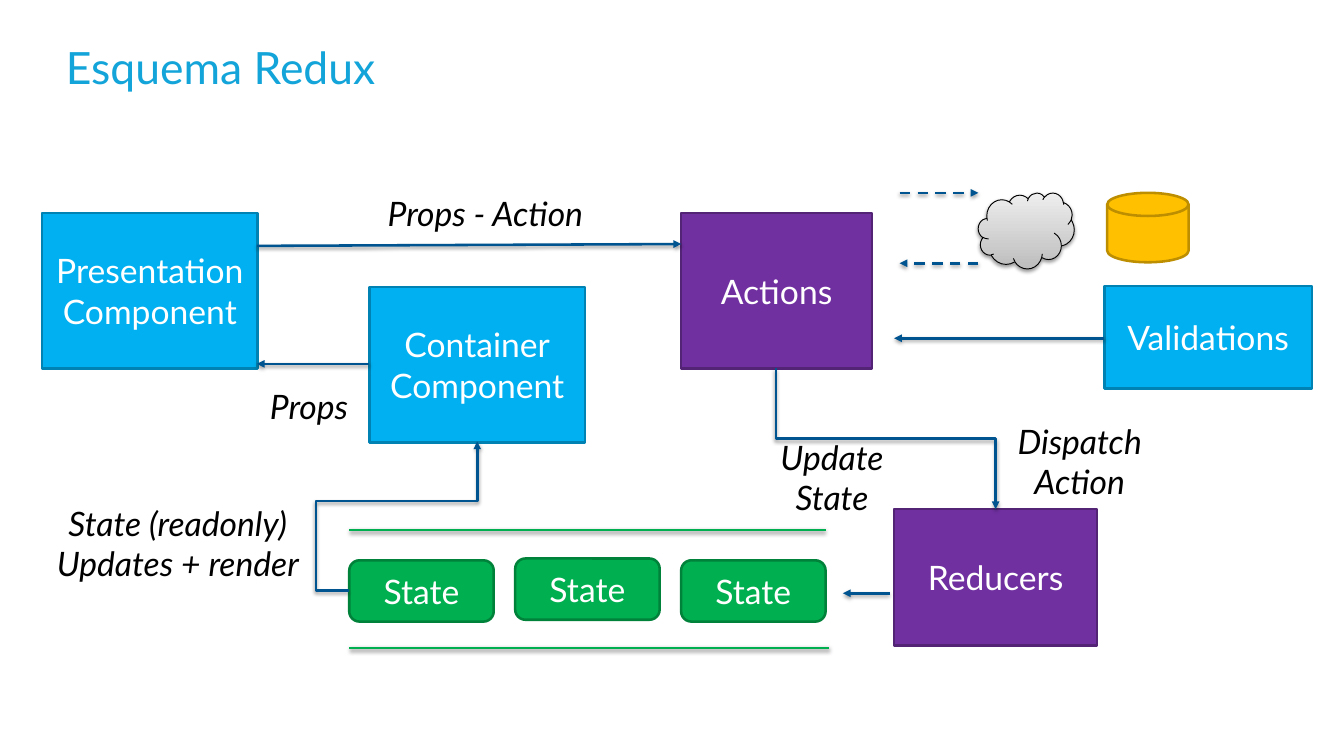
from dataclasses import dataclass

from lxml.etree import SubElement
from pptx import Presentation
from pptx.dml.color import RGBColor
from pptx.enum.dml import MSO_LINE
from pptx.enum.shapes import MSO_CONNECTOR, MSO_SHAPE
from pptx.enum.text import MSO_ANCHOR, MSO_AUTO_SIZE, PP_ALIGN
from pptx.oxml import parse_xml
from pptx.oxml.ns import nsdecls, qn
from pptx.util import Inches, Pt


@dataclass(frozen=True)
class Theme:
    font: str = "Lato"
    title_size: float = 35
    text_size: float = 26.5
    line_width: float = 2
    title: str = "13A4D9"
    flow: str = "005490"
    component: tuple[str, str] = ("00B0F0", "0082B2")
    logic: tuple[str, str] = ("7030A0", "532476")
    state: tuple[str, str] = ("00B050", "00823B")
    database: tuple[str, str] = ("FFC000", "BD8E00")
    cloud: tuple[str, str] = ("BDBDBD", "EEEEEE")
    light: str = "FFFFFF"
    dark: str = "000000"


@dataclass(frozen=True)
class Node:
    text: str
    box: tuple[float, float, float, float]
    colors: tuple[str, str]
    kind: MSO_SHAPE = MSO_SHAPE.RECTANGLE


@dataclass(frozen=True)
class Label:
    text: str
    box: tuple[float, float, float, float]


@dataclass(frozen=True)
class Link:
    start: tuple[float, float]
    end: tuple[float, float]
    color: str
    arrow: bool = True
    dashed: bool = False


@dataclass(frozen=True)
class Elbow:
    link: Link
    rotation: int
    preset: str
    bends: tuple[float, ...]


THEME = Theme()
STATE_LEFT, STATE_PITCH = 3.82, 1.815

NODES = [
    Node("Container\nComponent", (4.04, 3.14, 2.36, 1.7), THEME.component),
    Node("Reducers", (9.78, 5.57, 2.22, 1.49), THEME.logic),
    Node("Validations", (12.08, 3.13, 2.27, 1.12), THEME.component),
    Node("Actions", (7.45, 2.33, 2.09, 1.7), THEME.logic),
    Node("Presentation\nComponent", (0.46, 2.33, 2.36, 1.7), THEME.component),
    Node("", (12.11, 2.11, 0.89, 0.76), THEME.database, MSO_SHAPE.FLOWCHART_MAGNETIC_DISK),
] + [
    Node("State", (STATE_LEFT + column * STATE_PITCH, top, 1.58, 0.67),
         THEME.state, MSO_SHAPE.ROUNDED_RECTANGLE)
    for column, top in enumerate((6.13, 6.11, 6.13))
]

LABELS = [
    Label("Props - Action", (3.68, 2.06, 3.26, 0.55)),
    Label("State (readonly)\nUpdates + render", (0.44, 5.45, 3.01, 0.99)),
    Label("Update State", (8.12, 4.73, 1.96, 0.99)),
    Label("Props", (2.72, 4.17, 1.32, 0.55)),
    Label("Dispatch Action", (10.83, 4.55, 1.96, 0.99)),
]

LINKS = [
    Link((9.03, 5.8), (STATE_LEFT, 5.8), THEME.state[0], arrow=False),
    Link((9.07, 7.09), (STATE_LEFT, 7.09), THEME.state[0], arrow=False),
    Link((2.81, 2.69), (7.45, 2.67), THEME.flow),
    Link((9.84, 2.11), (10.7, 2.11), THEME.flow, dashed=True),
    Link((10.7, 2.88), (9.84, 2.88), THEME.flow, dashed=True),
    Link((9.73, 6.49), (9.22, 6.49), THEME.flow),
    Link((12.08, 3.7), (9.78, 3.7), THEME.flow),
    Link((4.04, 3.98), (2.81, 3.98), THEME.flow),
]

ELBOWS = [
    Elbow(Link((5.22, 4.83), (3.82, 6.46), THEME.flow), 180, "bentConnector4", (-0.26, 0.6)),
    Elbow(Link((10.46, 3.6), (8.92, 6.0), THEME.flow), 270, "bentConnector3", (0.5,)),
]


def rgb(color: str) -> RGBColor:
    """Return the colour object of a hex code."""
    return RGBColor.from_string(color)


def add_shadow(shape) -> None:
    """Give a shape or connector the soft shadow falling below it."""
    shape._element.spPr.append(parse_xml(
        f'<a:effectLst {nsdecls("a")}><a:outerShdw blurRad="{Pt(3.1)}" dist="{Pt(1.6)}" '
        f'dir="5400000" rotWithShape="0"><a:srgbClr val="{THEME.dark}">'
        '<a:alpha val="38000"/></a:srgbClr></a:outerShdw></a:effectLst>'))


def write(frame, text: str, color: str, italic: bool = False) -> None:
    """Write centred text into a text frame."""
    frame.word_wrap = True
    frame.text = text
    for paragraph in frame.paragraphs:
        paragraph.alignment = PP_ALIGN.CENTER
        paragraph.font.name = THEME.font
        paragraph.font.size = Pt(THEME.text_size)
        paragraph.font.italic = italic
        paragraph.font.color.rgb = rgb(color)


def add_title(slide, text: str) -> None:
    """Fill and place the title placeholder."""
    title = slide.shapes.title
    title.left, title.top, title.width, title.height = map(Inches, (0.62, 0.33, 13.36, 0.81))
    title.text_frame.text = text
    title.text_frame.vertical_anchor = MSO_ANCHOR.MIDDLE
    heading = title.text_frame.paragraphs[0]
    heading.alignment = PP_ALIGN.LEFT
    heading.font.name = THEME.font
    heading.font.size = Pt(THEME.title_size)
    heading.font.color.rgb = rgb(THEME.title)


def add_node(slide, node: Node) -> None:
    """Draw one filled block of the scheme."""
    block = slide.shapes.add_shape(node.kind, *map(Inches, node.box))
    fill, outline = node.colors
    block.shadow.inherit = False
    block.fill.solid()
    block.fill.fore_color.rgb = rgb(fill)
    block.line.color.rgb = rgb(outline)
    block.line.width = Pt(THEME.line_width)
    if node.text:
        block.text_frame.vertical_anchor = MSO_ANCHOR.MIDDLE
        write(block.text_frame, node.text, THEME.light)


def add_cloud(slide) -> None:
    """Draw the shaded cloud of remote services."""
    cloud = slide.shapes.add_shape(MSO_SHAPE.CLOUD, *map(Inches, (10.7, 2.11, 1.05, 0.83)))
    cloud.fill.gradient()
    cloud.fill.gradient_angle = 90
    for stop, color in zip(cloud.fill.gradient_stops, THEME.cloud):
        stop.color.rgb = rgb(color)
    cloud.line.color.rgb = rgb(THEME.dark)
    cloud.line.width = Pt(0.75)
    add_shadow(cloud)


def add_label(slide, label: Label) -> None:
    """Add one italic caption."""
    caption = slide.shapes.add_textbox(*map(Inches, label.box))
    write(caption.text_frame, label.text, THEME.dark, italic=True)
    caption.text_frame.auto_size = MSO_AUTO_SIZE.SHAPE_TO_FIT_TEXT


def add_link(slide, link: Link, kind: MSO_CONNECTOR = MSO_CONNECTOR.STRAIGHT):
    """Draw a connector with its arrowhead and shadow."""
    connector = slide.shapes.add_connector(kind, *map(Inches, link.start + link.end))
    connector.line.color.rgb = rgb(link.color)
    connector.line.width = Pt(THEME.line_width)
    if link.dashed:
        connector.line.dash_style = MSO_LINE.DASH
    if link.arrow:
        SubElement(connector.line._get_or_add_ln(), qn("a:tailEnd"), type="triangle")
    add_shadow(connector)
    return connector


def add_elbow(slide, elbow: Elbow) -> None:
    """Draw a bent connector, turned and with its bends set."""
    properties = add_link(slide, elbow.link, MSO_CONNECTOR.ELBOW)._element.spPr
    properties.find(qn("a:xfrm")).set("rot", str(elbow.rotation * 60000))
    geometry = properties.find(qn("a:prstGeom"))
    geometry.set("prst", elbow.preset)
    guides = geometry.find(qn("a:avLst"))
    for number, bend in enumerate(elbow.bends, 1):
        SubElement(guides, qn("a:gd"), name=f"adj{number}", fmla=f"val {round(bend * 100000)}")


def main() -> None:
    """Build the Redux scheme slide and save it."""
    deck = Presentation()
    deck.slide_width, deck.slide_height = Inches(14.7), Inches(8.27)
    slide = deck.slides.add_slide(deck.slide_layouts[5])
    add_title(slide, "Esquema Redux")
    for node in NODES:
        add_node(slide, node)
    add_cloud(slide)
    for link in LINKS:
        add_link(slide, link)
    for elbow in ELBOWS:
        add_elbow(slide, elbow)
    for label in LABELS:
        add_label(slide, label)
    deck.save("out.pptx")


if __name__ == "__main__":
    main()
